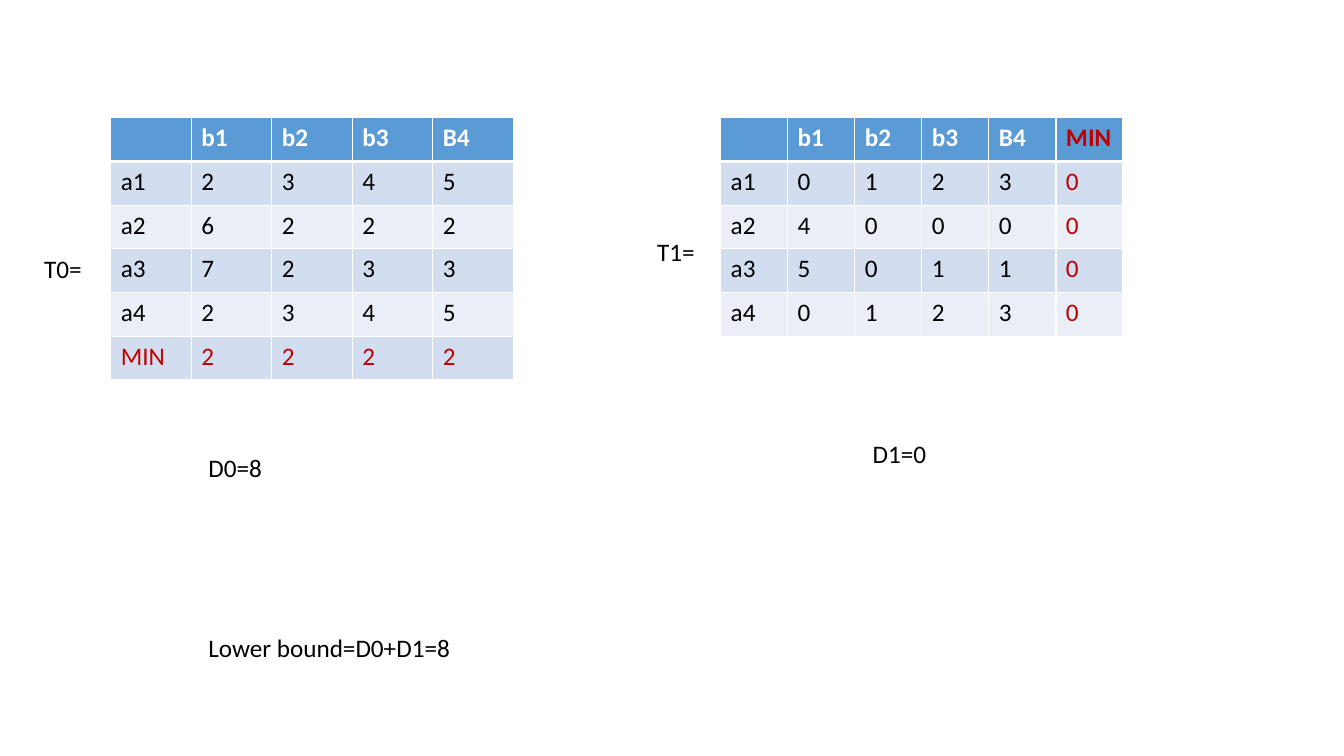
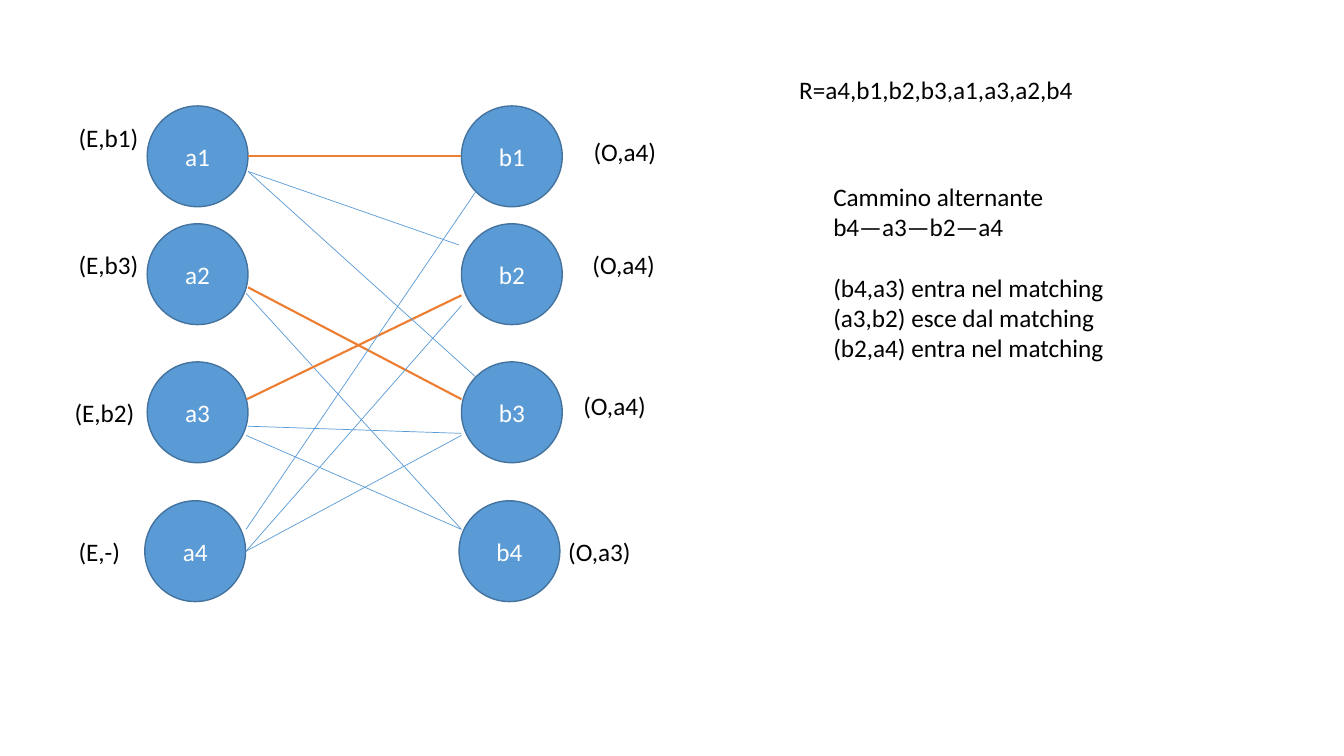
import pptx
import pptx.dml.color
import pptx.enum.shapes
import pptx.enum.text
import pptx.oxml
import pptx.oxml.ns
import pptx.util
from pptx.util import Cm

RGBColor = pptx.dml.color.RGBColor
WHITE = RGBColor(0xFF, 0xFF, 0xFF)
BLACK = RGBColor(0, 0, 0)
BLUE = RGBColor(0x5B, 0x9B, 0xD5)
DARK_BLUE = RGBColor(0x43, 0x73, 0x9E)
BAND_DARK = RGBColor(0xD2, 0xDE, 0xEF)
BAND_LIGHT = RGBColor(0xEA, 0xEF, 0xF7)
RED = RGBColor(0xC0, 0, 0)
ORANGE = RGBColor(0xED, 0x7D, 0x31)

LINE_HEIGHT = 1.02
ROW_HEIGHT = 1.1
NODE_SIZE = 2.54


class Deck:
    """Holds the shared style and the slide being filled; lengths are in cm."""

    text_format = {"name": "Calibri", "size": pptx.util.Pt(18), "bold": False}

    def __init__(self):
        self.presentation = pptx.Presentation()
        self.presentation.slide_width = Cm(33.87)
        self.presentation.slide_height = Cm(19.05)
        self.slide = None

    def new_slide(self):
        blank_layout = self.presentation.slide_layouts[6]
        self.slide = self.presentation.slides.add_slide(blank_layout)

    def add_words(self, paragraph, words, color, **changes):
        run = paragraph.add_run()
        run.text = words
        for key, value in {**self.text_format, **changes}.items():
            setattr(run.font, key, value)
        run.font.color.rgb = color

    def text(self, left, top, width, *lines, gaps=None):
        """Stack lines of text; gaps maps a line's index to the points above it."""
        frame = self.slide.shapes.add_textbox(
            Cm(left), Cm(top), Cm(width), Cm(LINE_HEIGHT)).text_frame
        frame.word_wrap = False
        frame.auto_size = pptx.enum.text.MSO_AUTO_SIZE.SHAPE_TO_FIT_TEXT
        for index, line in enumerate(lines):
            paragraph = frame.add_paragraph() if index else frame.paragraphs[0]
            self.add_words(paragraph, line, BLACK)
            if gaps and index in gaps:
                paragraph.space_before = pptx.util.Pt(gaps[index])

    def node(self, left, top, name):
        circle = self.slide.shapes.add_shape(
            pptx.enum.shapes.MSO_SHAPE.OVAL,
            Cm(left), Cm(top), Cm(NODE_SIZE), Cm(NODE_SIZE))
        circle.shadow.inherit = False
        circle.fill.solid()
        circle.fill.fore_color.rgb = BLUE
        circle.line.color.rgb = DARK_BLUE
        circle.line.width = pptx.util.Pt(1)
        circle.text_frame.vertical_anchor = pptx.enum.text.MSO_ANCHOR.MIDDLE
        paragraph = circle.text_frame.paragraphs[0]
        paragraph.alignment = pptx.enum.text.PP_ALIGN.CENTER
        self.add_words(paragraph, name, WHITE)

    def edge(self, start, end, matched):
        line = self.slide.shapes.add_connector(
            pptx.enum.shapes.MSO_CONNECTOR.STRAIGHT,
            *(Cm(value) for value in (*start, *end)))
        line.line.color.rgb = ORANGE if matched else BLUE
        line.line.width = pptx.util.Pt(1.5 if matched else 0.5)
        properties = line._element.spPr
        properties.append(pptx.oxml.parse_xml(
            f'<a:effectLst {pptx.oxml.ns.nsdecls("a")}/>'))

    def border(self, cell, widths):
        """Draw white cell sides; widths maps a side's letter to points."""
        properties = cell._tc.get_or_add_tcPr()
        for side, points in widths.items():
            properties.append(pptx.oxml.parse_xml(
                f'<a:ln{side} {pptx.oxml.ns.nsdecls("a")} '
                f'w="{pptx.util.Pt(points)}"><a:solidFill>'
                f'<a:srgbClr val="{WHITE}"/></a:solidFill></a:ln{side}>'))

    def cost_table(self, left, top, column_width, rows):
        """Banded table whose MIN row or column is in red."""
        header = rows[0]
        table = self.slide.shapes.add_table(
            len(rows), len(header), Cm(left), Cm(top),
            Cm(column_width * len(header)), Cm(ROW_HEIGHT * len(rows))).table
        for column in table.columns:
            column.width = Cm(column_width)
        for r, row in enumerate(rows):
            table.rows[r].height = Cm(ROW_HEIGHT)
            for c, value in enumerate(row):
                cell = table.cell(r, c)
                self.border(cell, {"L": 1, "R": 1, "T": 3 if r == 1 else 1,
                                   "B": 3 if r == 0 else 1})
                cell.fill.solid()
                band = BAND_DARK if r % 2 else BAND_LIGHT
                cell.fill.fore_color.rgb = band if r else BLUE
                color = BLACK if r else WHITE
                if "MIN" in (row[0], header[c]):
                    color = RED
                if value:
                    self.add_words(cell.text_frame.paragraphs[0], value, color,
                                   bold=r == 0)


def add_reduction_slide(deck):
    deck.new_slide()
    deck.cost_table(2.79, 2.97, 2.03, [
        ["", "b1", "b2", "b3", "B4"],
        ["a1", "2", "3", "4", "5"],
        ["a2", "6", "2", "2", "2"],
        ["a3", "7", "2", "3", "3"],
        ["a4", "2", "3", "4", "5"],
        ["MIN", "2", "2", "2", "2"],
    ])
    deck.cost_table(18.16, 2.97, 1.69, [
        ["", "b1", "b2", "b3", "B4", "MIN"],
        ["a1", "0", "1", "2", "3", "0"],
        ["a2", "4", "0", "0", "0", "0"],
        ["a3", "5", "0", "1", "1", "0"],
        ["a4", "0", "1", "2", "3", "0"],
    ])
    for left, top, width, words in [
        (0.86, 6.27, 1.47, "T0="),
        (5, 11.28, 1.88, "D0=8"),
        (21.74, 10.92, 1.88, "D1=0"),
        (16.31, 5.84, 1.47, "T1="),
        (5, 15.82, 6.68, "Lower bound=D0+D1=8"),
    ]:
        deck.text(left, top, width, words)


def add_matching_slide(deck):
    deck.new_slide()
    for side, left in (("a", 3.71), ("b", 11.63)):
        for number, (shift, top) in enumerate(
                [(0, 2.67), (0, 5.64), (0, 9.12), (-0.06, 12.62)], start=1):
            deck.node(left + shift, top, f"{side}{number}")

    for start, end, matched in [
        ((6.25, 3.94), (11.63, 3.94), True),
        ((6.25, 7.24), (11.63, 10.06), True),
        ((6.2, 7.39), (11.63, 13.34), False),
        ((6.22, 10.06), (11.63, 7.44), True),
        ((6.2, 13.34), (11.99, 4.83), False),
        ((6.25, 4.32), (11.56, 6.17), False),
        ((6.2, 13.89), (11.63, 7.7), False),
        ((6.25, 4.32), (11.99, 9.5), False),
        ((11.63, 10.92), (6.25, 10.74), False),
        ((11.63, 10.97), (6.2, 13.89), False),
        ((6.2, 10.97), (11.63, 13.34), False),
    ]:
        deck.edge(start, end, matched)

    for left, top, width, label in [
        (1.73, 2.95, 2.03, "(E,b1)"),
        (1.73, 6.17, 2.03, "(E,b3)"),
        (1.63, 9.88, 2.03, "(E,b2)"),
        (1.73, 13.39, 1.57, "(E,-)"),
        (14.71, 3.3, 2.11, "(O,a4)"),
        (14.68, 6.17, 2.11, "(O,a4)"),
        (14.45, 9.7, 2.11, "(O,a4)"),
        (14.07, 13.39, 2.11, "(O,a3)"),
    ]:
        deck.text(left, top, width, label)

    deck.text(20.75, 4.45, 7.42,
              "Cammino alternante",
              "b4—a3—b2—a4",
              "(b4,a3) entra nel matching",
              "(a3,b2) esce dal matching",
              "(b2,a4) entra nel matching",
              gaps={2: 21.6})
    deck.text(19.89, 1.75, 7.49, "R=a4,b1,b2,b3,a1,a3,a2,b4")


def main():
    deck = Deck()
    add_reduction_slide(deck)
    add_matching_slide(deck)
    deck.presentation.save("out.pptx")


if __name__ == "__main__":
    main()
